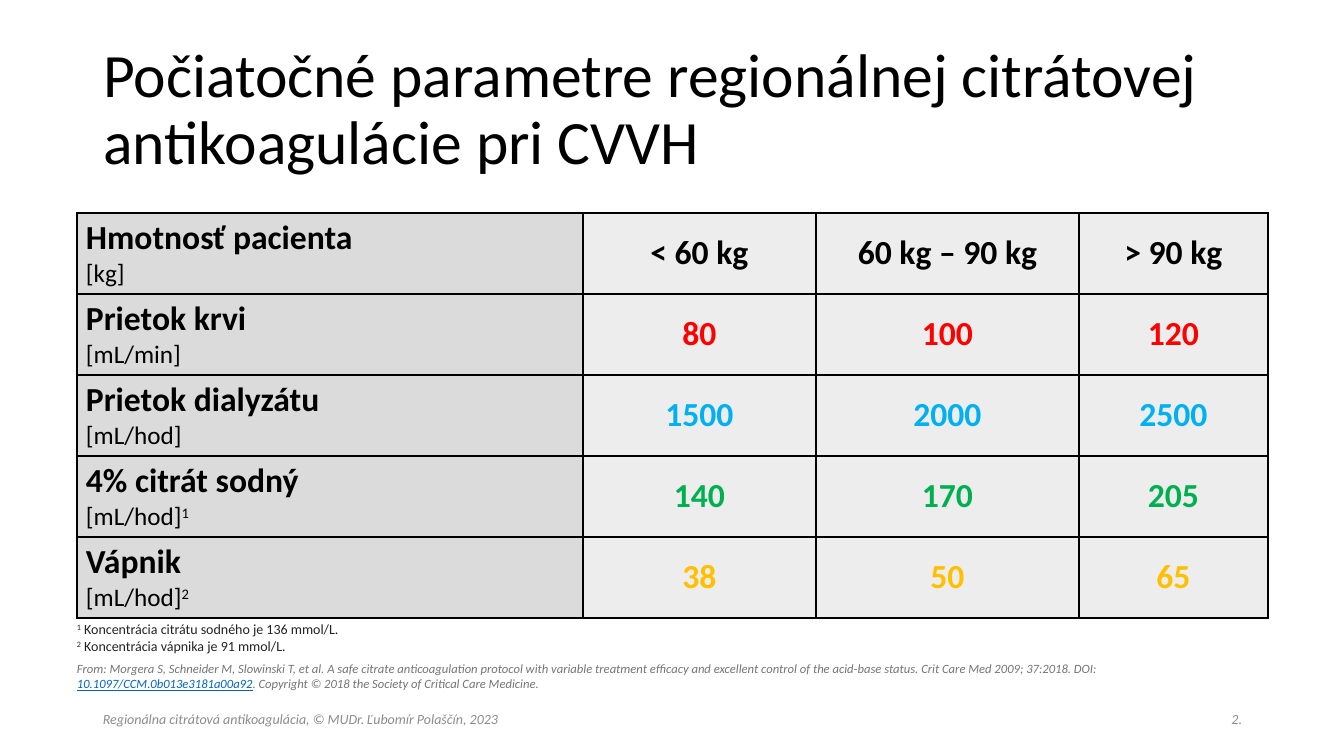
from lxml import etree
from pptx import Presentation
from pptx.dml.color import RGBColor
from pptx.enum.shapes import MSO_SHAPE
from pptx.enum.text import MSO_ANCHOR, MSO_AUTO_SIZE, PP_ALIGN
from pptx.oxml.ns import qn
from pptx.util import Emu, Pt

MIDDLE = MSO_ANCHOR.MIDDLE
NO_FIT = MSO_AUTO_SIZE.NONE
LEFT, CENTER, RIGHT = PP_ALIGN.LEFT, PP_ALIGN.CENTER, PP_ALIGN.RIGHT
RECTANGLE = MSO_SHAPE.RECTANGLE

FONT = "Calibri"
BLACK, GRAY, NOTE_COLOR, SOURCE_COLOR = "000000", "8C8C8C", "232323", "757575"
LABEL_FILL, VALUE_FILL = "DBDBDB", "EDEDED"

TITLE = "Počiatočné parametre regionálnej citrátovej antikoagulácie pri CVVH"
ROWS = [
    ("Hmotnosť pacienta", "[kg]", "", BLACK, ("< 60 kg", "60 kg – 90 kg", "> 90 kg")),
    ("Prietok krvi", "[mL/min]", "", "FF0000", ("80", "100", "120")),
    ("Prietok dialyzátu", "[mL/hod]", "", "00B0F0", ("1500", "2000", "2500")),
    ("4% citrát sodný", "[mL/hod]", "1", "00B050", ("140", "170", "205")),
    ("Vápnik", "[mL/hod]", "2", "FFC000", ("38", "50", "65")),
]
NOTES = [
    ("1", " Koncentrácia citrátu sodného je 136 mmol/L."),
    ("2", " Koncentrácia vápnika je 91 mmol/L."),
]
SOURCE = [
    ("From: Morgera S, Schneider M, Slowinski T, et al. A safe citrate anticoagulation "
     "protocol with variable treatment efficacy and excellent control of the acid-base "
     "status. Crit Care Med 2009; 37:2018. DOI: ", SOURCE_COLOR, False),
    ("10.1097/CCM.0b013e3181a00a92", "0563C1", True),
    (". Copyright © 2018 the Society of Critical Care Medicine.", SOURCE_COLOR, False),
]
FOOTERS = [
    ("Regionálna citrátová antikoagulácia, © MUDr. Ľubomír Polaščín, 2023",
     (93, 699, 806, 40), LEFT),
    ("2.", (950, 699, 302, 40), RIGHT),
]
COLUMN_WIDTHS = (506, 233, 263, 189)
ROW_HEIGHT = 81
TABLE_LEFT, TABLE_TOP = 77, 213


def px(length):
    return Emu(round(length * 914400 / 100.8))


def place(left, top, width, height):
    return px(left), px(top), px(width), px(height)


def color(value):
    return RGBColor.from_string(value)


def add_text(para, text, size, fill=BLACK, bold=False, italic=False,
             underline=False, raised=False):
    span = para.add_run()
    span.text = text
    font = span.font
    font.name, font.size = FONT, Pt(size)
    font.bold, font.italic, font.underline = bold, italic, underline
    font.color.rgb = color(fill)
    if raised:
        span._r.get_or_add_rPr().set("baseline", "30000")


def format_cell(cell, fill):
    cell.vertical_anchor = MIDDLE
    cell.margin_left = cell.margin_right = px(9)
    cell.margin_top = cell.margin_bottom = px(5)
    cell.fill.solid()
    cell.fill.fore_color.rgb = color(fill)
    properties = cell._tc.get_or_add_tcPr()
    for index, side in enumerate(("a:lnL", "a:lnR", "a:lnT", "a:lnB")):
        border = etree.Element(qn(side), w=str(Pt(1)))
        paint = etree.SubElement(border, qn("a:solidFill"))
        etree.SubElement(paint, qn("a:srgbClr"), val=BLACK)
        properties.insert(index, border)


def add_title(page):
    title = page.shapes.title
    title.left, title.top, title.width, title.height = place(93, 38, 1159, 146)
    frame = title.text_frame
    frame.auto_size = NO_FIT
    frame.vertical_anchor = MIDDLE
    para = frame.paragraphs[0]
    para.alignment = LEFT
    para.line_spacing = 0.9
    add_text(para, TITLE, 44)


def add_parameters(page):
    area = place(TABLE_LEFT, TABLE_TOP, sum(COLUMN_WIDTHS), ROW_HEIGHT * len(ROWS))
    table = page.shapes.add_table(len(ROWS), len(COLUMN_WIDTHS), *area).table
    table.first_row = table.horz_banding = False
    for column, width in zip(table.columns, COLUMN_WIDTHS):
        column.width = px(width)
    for row_index, (label, unit, mark, fill, values) in enumerate(ROWS):
        table.rows[row_index].height = px(ROW_HEIGHT)
        cell = table.cell(row_index, 0)
        format_cell(cell, LABEL_FILL)
        add_text(cell.text_frame.paragraphs[0], label, 24, bold=True)
        unit_para = cell.text_frame.add_paragraph()
        add_text(unit_para, unit, 18)
        if mark:
            add_text(unit_para, mark, 18, raised=True)
        for column_index, value in enumerate(values, 1):
            cell = table.cell(row_index, column_index)
            format_cell(cell, VALUE_FILL)
            para = cell.text_frame.paragraphs[0]
            para.alignment = CENTER
            add_text(para, value, 24, fill=fill, bold=True)


def add_notes(page):
    box = page.shapes.add_shape(RECTANGLE, *place(77, 620, 1190, 72))
    box.shadow.inherit = False
    box.fill.solid()
    box.fill.fore_color.rgb = color("FFFFFF")
    box.line.fill.background()
    frame = box.text_frame
    frame.word_wrap = True
    frame.vertical_anchor = MIDDLE
    frame.margin_left = frame.margin_right = frame.margin_top = frame.margin_bottom = 0
    for index, (mark, note) in enumerate(NOTES):
        para = frame.add_paragraph() if index else frame.paragraphs[0]
        para.alignment = LEFT
        add_text(para, mark, 10, fill=NOTE_COLOR, raised=True)
        add_text(para, note, 10, fill=NOTE_COLOR)
    para = frame.add_paragraph()
    para.alignment = LEFT
    para.space_before = Pt(5)
    for text, fill, underline in SOURCE:
        add_text(para, text, 9, fill=fill, italic=True, underline=underline)


def add_footers(page):
    for text, area, alignment in FOOTERS:
        frame = page.shapes.add_textbox(*place(*area)).text_frame
        frame.word_wrap = True
        frame.vertical_anchor = MIDDLE
        para = frame.paragraphs[0]
        para.alignment = alignment
        add_text(para, text, 10, fill=GRAY, italic=True)


def main():
    deck = Presentation()
    deck.slide_width, deck.slide_height = px(1344), px(756)
    page = deck.slides.add_slide(deck.slide_layouts[5])
    add_title(page)
    add_footers(page)
    add_parameters(page)
    add_notes(page)
    deck.save("out.pptx")


if __name__ == "__main__":
    main()
